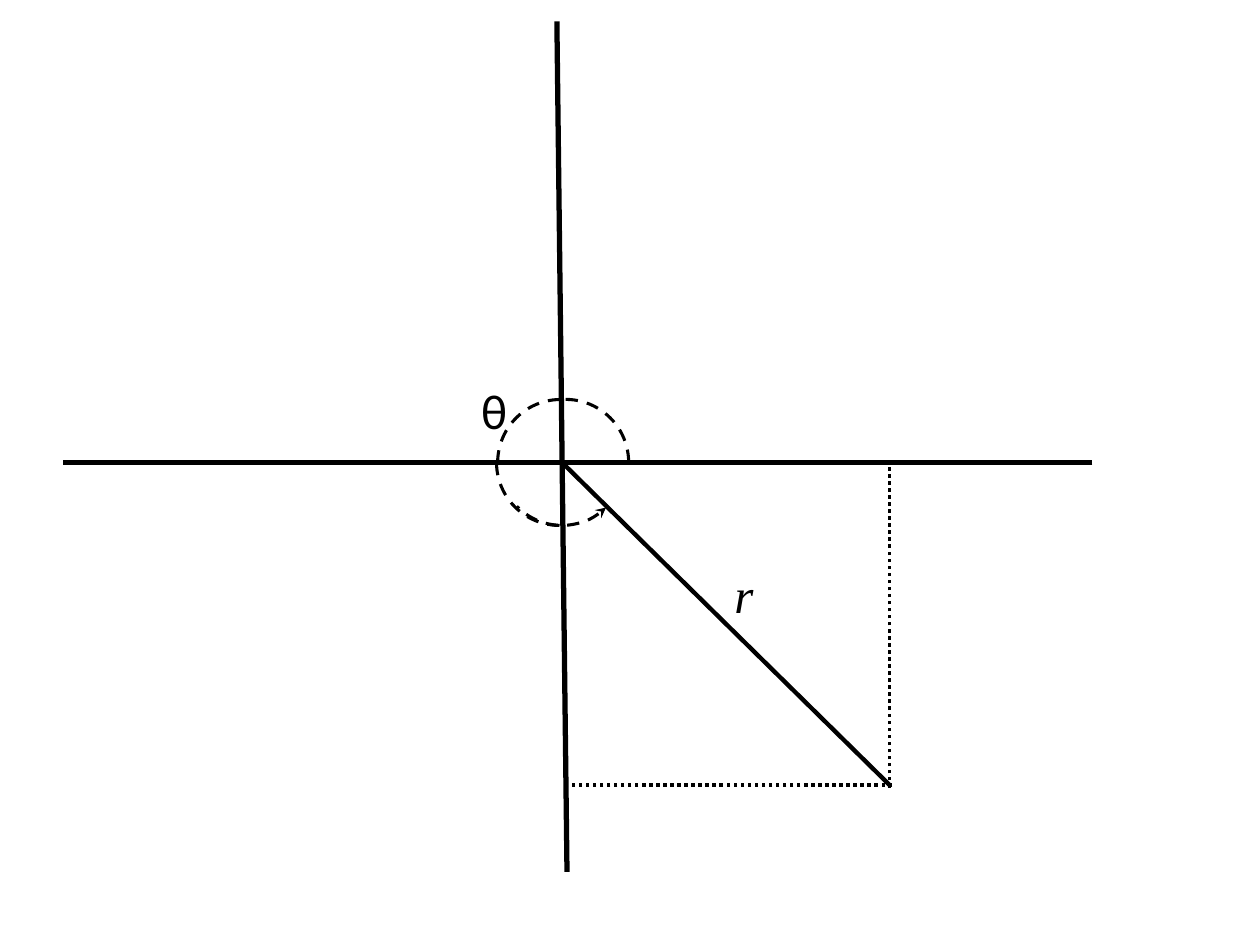
"""Draw the angle θ and radius r of a point in the fourth quadrant."""
from lxml.etree import SubElement
from pptx import Presentation
from pptx.dml.color import RGBColor
from pptx.enum.dml import MSO_LINE as Dash
from pptx.enum.shapes import MSO_CONNECTOR as Connector, MSO_SHAPE as Shape
from pptx.enum.text import MSO_AUTO_SIZE as AutoSize
from pptx.oxml.ns import qn
from pptx.util import Inches, Pt

BLACK = "000000"


def color(hex_text):
    return RGBColor.from_string(hex_text)


def add_text(slide, text, left, top, width, height, font="Calibri", size=28, italic=False):
    box = slide.shapes.add_textbox(left, top, width, height)
    frame = box.text_frame
    frame.word_wrap = False
    frame.auto_size = AutoSize.SHAPE_TO_FIT_TEXT
    run = frame.paragraphs[0].add_run()
    run.text = text
    run.font.name = font
    run.font.size = Pt(size)
    run.font.italic = italic
    run.font.color.rgb = color(BLACK)


presentation = Presentation()
presentation.slide_width, presentation.slide_height = Inches(10), Inches(7.5)
slide = presentation.slides.add_slide(presentation.slide_layouts[6])
column = presentation.slide_width // 100
row = presentation.slide_height // 75

axis_row, point_row = 36.7, 62.3
point_column = 70.6
lines = [
    (44.2, 1.7, 45, 69.2, 3, None),
    (86.7, axis_row, 5, axis_row, 3, None),
    (point_column, 62.5, point_column, axis_row, 2, Dash.ROUND_DOT),
    (70.8, point_row, 45, point_row, 2, Dash.ROUND_DOT),
    (point_column, point_row, 44.6, axis_row, 2.5, None),
]
for x1, y1, x2, y2, weight, dash in lines:
    line = slide.shapes.add_connector(
        Connector.STRAIGHT,
        round(x1 * column), round(y1 * row), round(x2 * column), round(y2 * row),
    )
    line.line.color.rgb = color(BLACK)
    line.line.width = Pt(weight)
    if dash:
        line.line.dash_style = dash
    SubElement(line._element.spPr, qn("a:effectLst"))

for left, rotation in [(39.9, 0), (39.5, 270), (39.4, 180), (39.6, 135.8)]:
    arc = slide.shapes.add_shape(
        Shape.ARC, round(left * column), round(31.7 * row), 10 * column, 10 * row
    )
    arc.rotation = rotation
    arc.shadow.inherit = False
    arc.fill.background()
    arc.line.color.rgb = color(BLACK)
    arc.line.width = Pt(1.75)
    arc.line.dash_style = Dash.DASH
SubElement(arc.line._get_or_add_ln(), qn("a:headEnd"), type="stealth")

add_text(slide, "θ", round(37.2 * column), round(29.7 * row),
         round(4.1 * column), round(5.7 * row))
add_text(slide, "r", round(57.3 * column), round(44.3 * row),
         round(3.5 * column), round(5.7 * row), font="Times New Roman", italic=True)

presentation.save("out.pptx")
